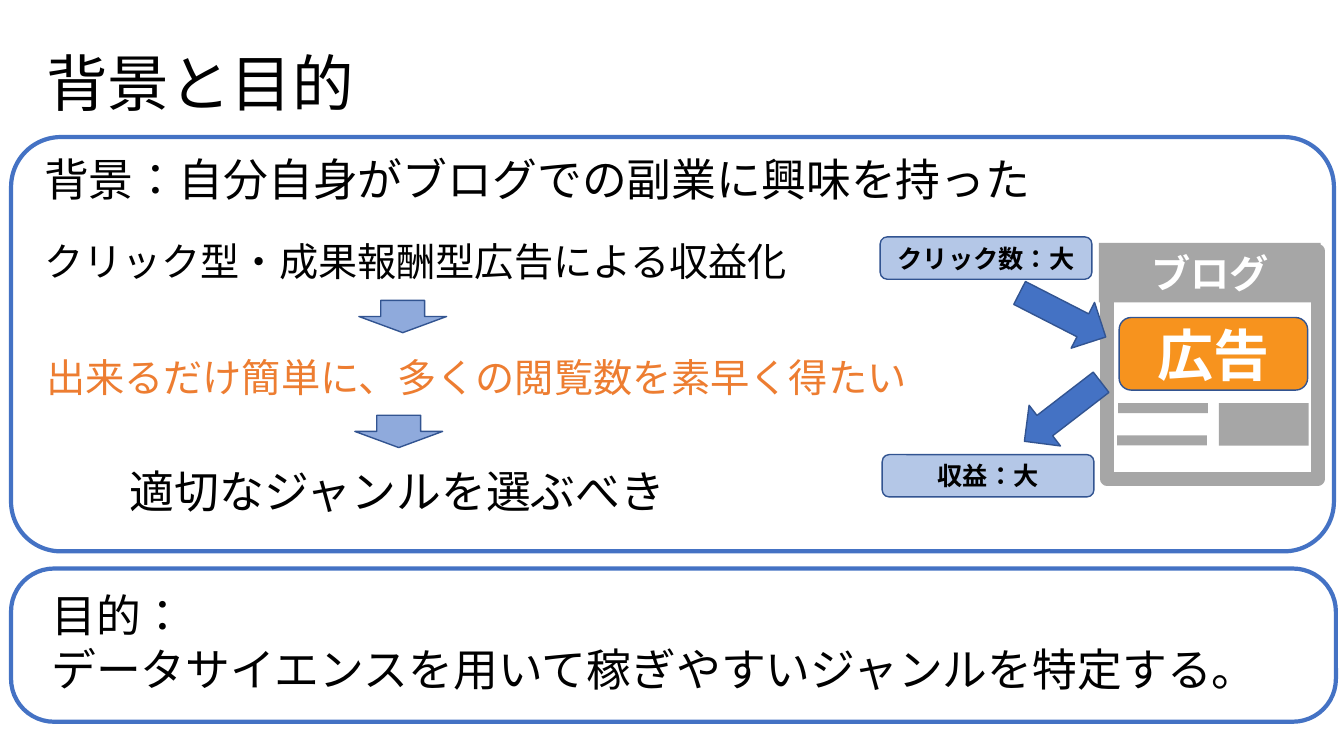
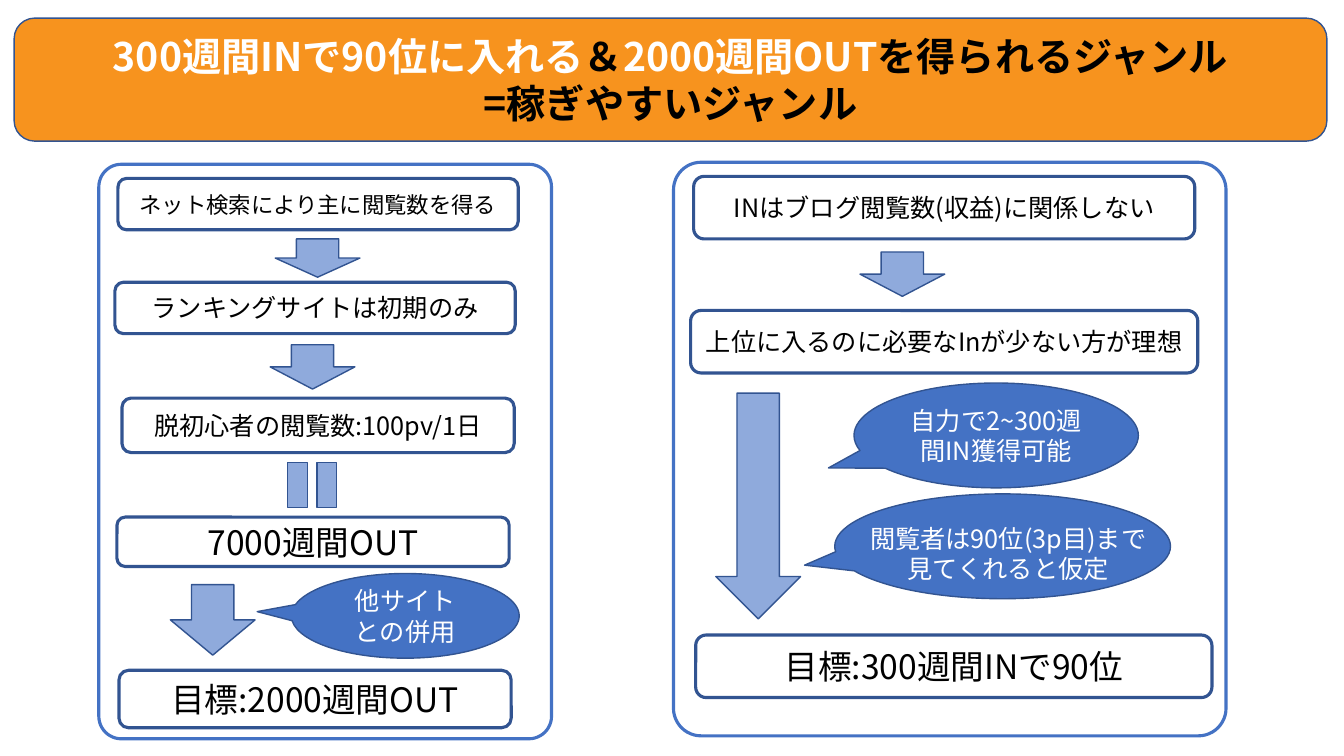
from dataclasses import dataclass

from lxml import etree
from pptx import Presentation
from pptx.dml.color import RGBColor
from pptx.enum.lang import MSO_LANGUAGE_ID as Lang
from pptx.enum.shapes import MSO_SHAPE as Geo
from pptx.enum.text import MSO_ANCHOR as Anchor, PP_ALIGN as Align
from pptx.oxml.ns import qn
from pptx.util import Emu, Pt

PX = 9144
FONT = "Noto Sans CJK JP"
HUE = {
    "black": "000000",
    "white": "FFFFFF",
    "gray": "A6A6A6",
    "navy": "325491",
    "blue": "4472C4",
    "mist": "8FAADC",
    "pale": "B4C7E7",
    "gold": "F7931E",
    "rust": "ED7D31",
}


@dataclass(frozen=True)
class Style:
    geo: Geo | None = None
    fill: str = ""
    line: str = ""
    width: float = 1
    ink: str = "black"
    alt: str = "black"
    bold: bool = False
    size: int = 18
    lead: float = 1
    before: int = 0
    align: Align = Align.CENTER
    anchor: Anchor = Anchor.MIDDLE


@dataclass(frozen=True)
class Part:
    style: str
    x: int
    y: int
    w: int
    h: int
    text: str = ""
    size: int = 0
    turn: float = 0
    adjust: tuple[float, ...] = ()


LEFT, TOP = Align.LEFT, Anchor.TOP
STYLES = {
    "title": Style(size=44, lead=0.9, align=LEFT),
    "body": Style(size=28, lead=0.9, before=10, align=LEFT, anchor=TOP),
    "wish": Style(ink="rust", size=28, lead=0.9, before=10,
                  align=LEFT, anchor=TOP),
    "goal": Style(size=32, align=LEFT, anchor=TOP),
    "claim": Style(size=32),
    "note": Style(ink="white", anchor=TOP),
    "panel": Style(Geo.ROUNDED_RECTANGLE, line="blue", width=3),
    "column": Style(Geo.ROUNDED_RECTANGLE, line="blue", width=2.25),
    "step": Style(Geo.ROUNDED_RECTANGLE, line="navy", width=2.25),
    "tag": Style(Geo.ROUNDED_RECTANGLE, "pale", "navy", bold=True),
    "key": Style(Geo.ROUNDED_RECTANGLE, "gold", "navy",
                 ink="white", bold=True, size=28),
    "page": Style(Geo.RECTANGLE, line="gray", width=10),
    "bar": Style(Geo.RECTANGLE, "gray", ink="white", bold=True, size=28),
    "down": Style(Geo.DOWN_ARROW, "mist", "navy"),
    "flow": Style(Geo.RIGHT_ARROW, "blue", "navy"),
    "equal": Style(Geo.MATH_EQUAL, "mist", "navy"),
    "talk": Style(Geo.OVAL_CALLOUT, "blue", "navy", ink="white"),
}

AIMS = [
    Part("title", 36, 13, 1150, 145, "背景と目的"),
    Part("body", 34, 236, 1150, 93, "クリック型・成果報酬型広告による収益化"),
    Part("claim", 7, 446, 775, 82, "適切なジャンルを選ぶべき"),
    Part("body", 34, 152, 1150, 93,
         "背景：自分自身がブログでの副業に興味を持った", 32),
    Part("goal", 41, 578, 1280, 130,
         "目的：\nデータサイエンスを用いて稼ぎやすいジャンルを特定する。"),
    Part("page", 1098, 249, 209, 226),
    Part("bar", 1090, 241, 220, 59, "ブログ"),
    Part("bar", 1109, 400, 89, 10),
    Part("bar", 1108, 432, 89, 10),
    Part("bar", 1209, 400, 89, 42),
    Part("key", 1110, 315, 187, 72, "広告", 40),
    Part("flow", 1006, 287, 96, 51, turn=27.1),
    Part("tag", 873, 235, 210, 42, "クリック数：大"),
    Part("flow", 1006, 383, 96, 51, turn=142.4),
    Part("tag", 875, 451, 210, 42, "収益：大"),
    Part("down", 356, 298, 87, 32),
    Part("wish", 36, 351, 876, 94,
         "出来るだけ簡単に、多くの閲覧数を素早く得たい"),
    Part("down", 352, 412, 87, 32),
    Part("panel", 11, 136, 1312, 411, adjust=(0.12,)),
    Part("panel", 11, 564, 1314, 152, adjust=(0.28,)),
]

GENRE = [
    Part("key", 14, 18, 1302, 122,
         "300週間INで90位に入れる|＆|2000週間OUT|を得られるジャンル\n"
         "|=稼ぎやすいジャンル"),
    Part("column", 98, 163, 449, 570, adjust=(0.05,)),
    Part("step", 117, 177, 397, 51, "ネット検索により主に閲覧数を得る", 16),
    Part("down", 273, 237, 84, 38),
    Part("step", 114, 280, 397, 51, "ランキングサイトは初期のみ"),
    Part("down", 268, 342, 84, 44),
    Part("step", 121, 395, 389, 54, "脱初心者の閲覧数:100pv/1日"),
    Part("equal", 279, 440, 61, 82, turn=90),
    Part("step", 116, 513, 389, 49, "7000週間OUT", 24),
    Part("down", 169, 580, 84, 70),
    Part("talk", 289, 569, 226, 84, "他サイト\nとの併用",
         adjust=(-0.65, -0.05)),
    Part("step", 118, 665, 389, 57, "目標:2000週間OUT", 24),
    Part("column", 668, 161, 548, 569, adjust=(0.05,)),
    Part("step", 688, 175, 497, 62, "INはブログ閲覧数(収益)に関係しない"),
    Part("down", 853, 250, 84, 44),
    Part("step", 685, 308, 503, 62, "上位に入るのに必要なInが少ない方が理想"),
    Part("down", 710, 390, 84, 224),
    Part("talk", 847, 380, 282, 104, "自力で2~300週間IN獲得可能",
         adjust=(-0.59, 0.31)),
    Part("talk", 828, 490, 333, 104, adjust=(-0.59, 0.18)),
    Part("note", 841, 514, 318, 71,
         "閲覧者は90位(3p目)まで見てくれると仮定"),
    Part("step", 690, 630, 512, 62, "目標:300週間INで90位", 24),
]


def px(count: int) -> Emu:
    return Emu(count * PX)


def tint(name: str) -> RGBColor:
    return RGBColor.from_string(HUE[name])


def ink(run, style: Style, size: int, name: str) -> None:
    font = run.font
    font.name = FONT
    font.size = Pt(size)
    font.bold = style.bold
    font.color.rgb = tint(name)
    font.language_id = Lang.JAPANESE
    east = etree.SubElement(run._r.get_or_add_rPr(), qn("a:ea"))
    east.set("typeface", FONT)


def write(frame, part: Part, style: Style) -> None:
    frame.word_wrap = True
    frame.vertical_anchor = style.anchor
    lines = part.text.split("\n")
    frame.text = "\n".join(line.replace("|", "") for line in lines)
    for para, line in zip(frame.paragraphs, lines):
        para.alignment = style.align
        para.line_spacing = style.lead
        para.space_before = Pt(style.before)
        bits = [(bit, style.alt if spot % 2 else style.ink)
                for spot, bit in enumerate(line.split("|")) if bit]
        para.text = bits[0][0]
        for bit, _ in bits[1:]:
            para.add_run().text = bit
        for run, (_, name) in zip(para.runs, bits):
            ink(run, style, part.size or style.size, name)


def paint(shape, style: Style) -> None:
    shape.shadow.inherit = False
    if style.fill:
        shape.fill.solid()
        shape.fill.fore_color.rgb = tint(style.fill)
    else:
        shape.fill.background()
    if style.line:
        shape.line.color.rgb = tint(style.line)
        shape.line.width = Pt(style.width)
    else:
        shape.line.fill.background()


def draw(slide, part: Part) -> None:
    style = STYLES[part.style]
    box = [px(side) for side in (part.x, part.y, part.w, part.h)]
    if style.geo is None:
        shape = slide.shapes.add_textbox(*box)
    else:
        shape = slide.shapes.add_shape(style.geo, *box)
        paint(shape, style)
        for spot, value in enumerate(part.adjust):
            shape.adjustments[spot] = value
    shape.rotation = part.turn
    if part.text:
        write(shape.text_frame, part, style)


def main() -> None:
    deck = Presentation()
    deck.slide_width, deck.slide_height = px(1333), px(750)
    for parts in (AIMS, GENRE):
        slide = deck.slides.add_slide(deck.slide_layouts[6])
        for part in parts:
            draw(slide, part)
    deck.save("out.pptx")


if __name__ == "__main__":
    main()
